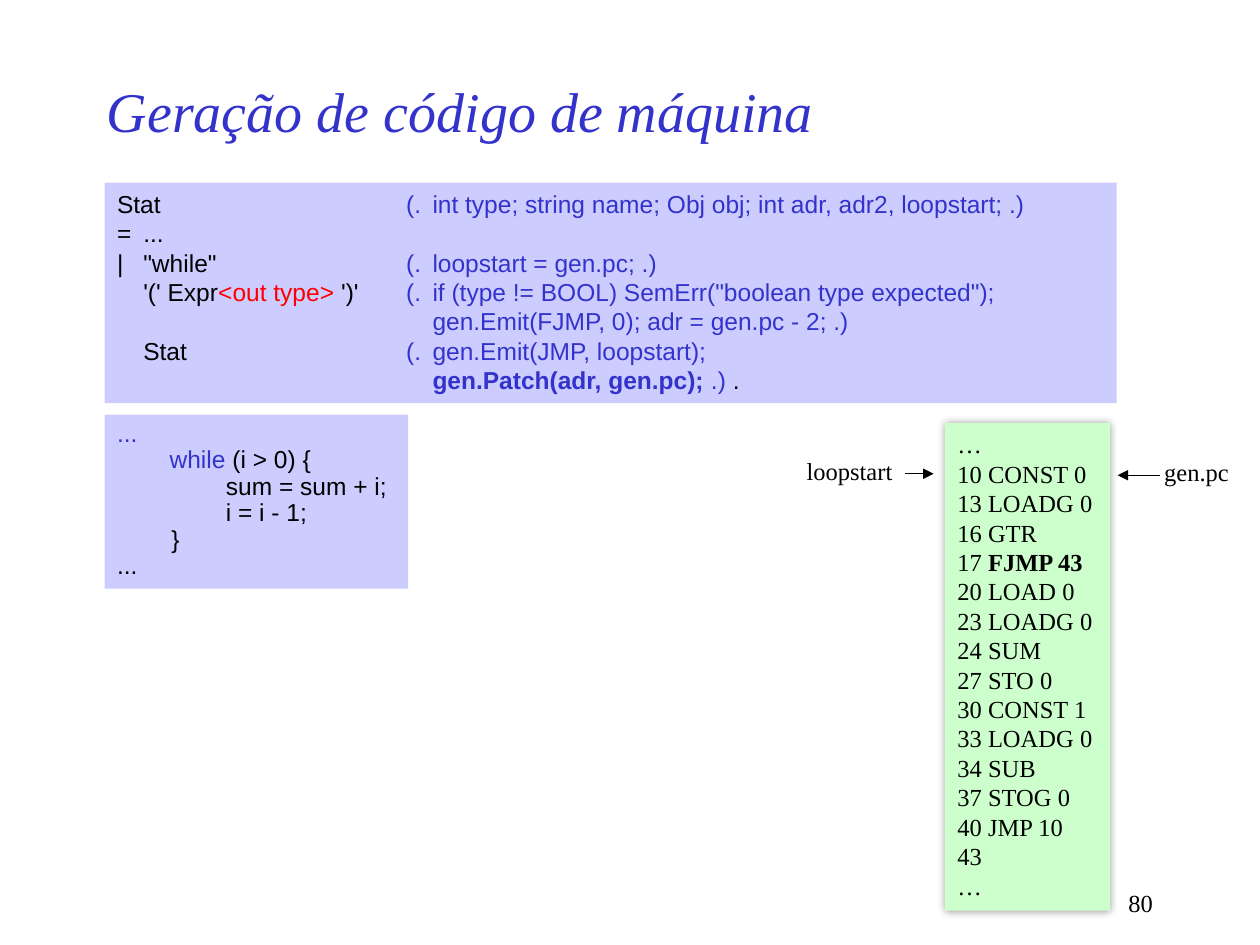
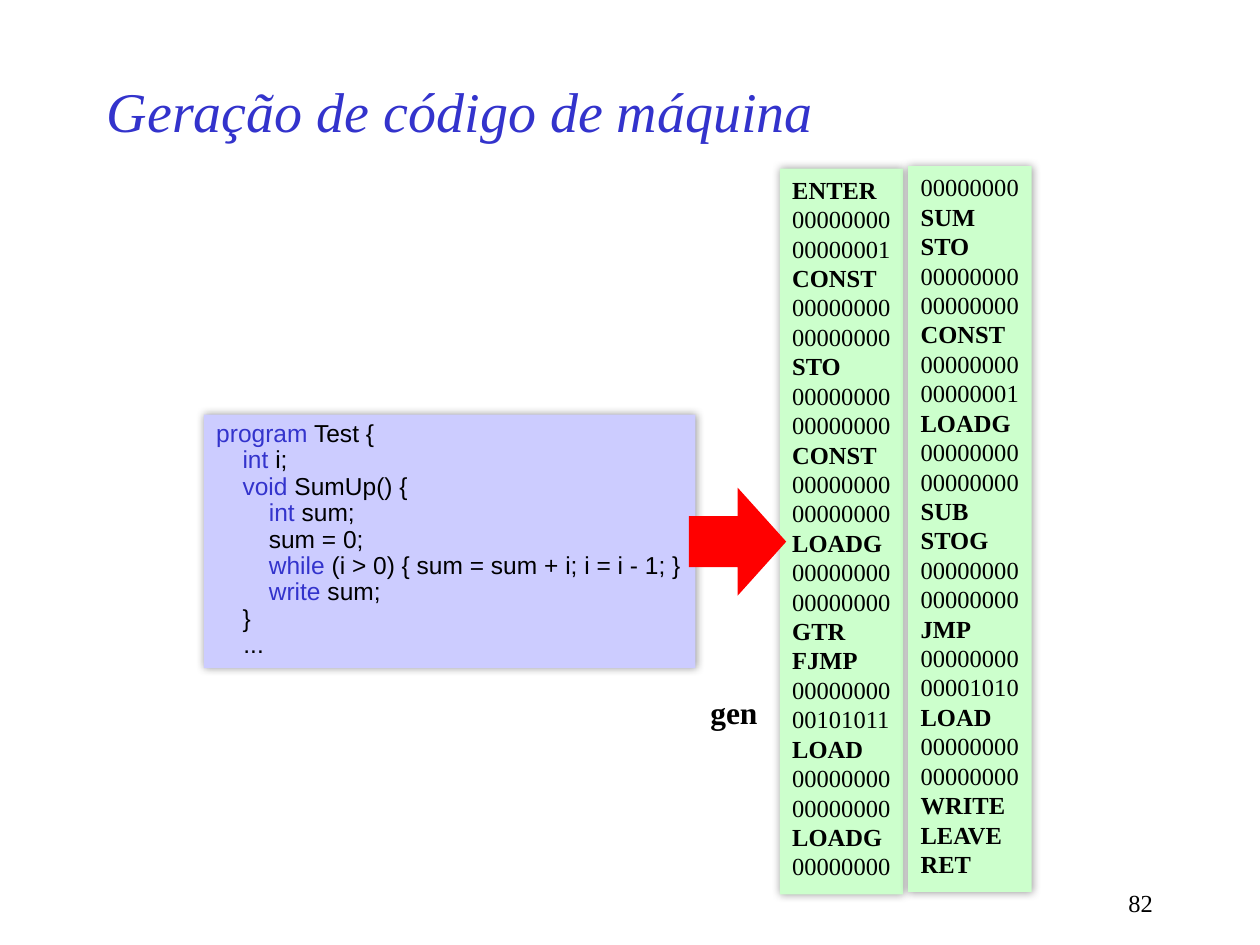
import lxml.etree
import pptx
import pptx.dml.color
import pptx.enum.shapes
import pptx.enum.text
import pptx.oxml
import pptx.oxml.ns
import pptx.util

Cm, Pt = pptx.util.Cm, pptx.util.Pt
qn = pptx.oxml.ns.qn
SHAPE = pptx.enum.shapes.MSO_SHAPE
ALIGN = pptx.enum.text.PP_ALIGN
ANCHOR = pptx.enum.text.MSO_ANCHOR
FIT = pptx.enum.text.MSO_AUTO_SIZE

# Shared look
BLACK, BLUE, RED = "000000", "3333CC", "FF0000"
LILAC, GREEN = "CCCCFF", "CCFFCC"
SERIF, SANS = "Times New Roman", "Arial"
STYLES = {  # run style: colour, bold
    "": (BLACK, False),
    "key": (BLUE, False),
    "call": (BLUE, True),
    "out": (RED, False),
    "op": (BLACK, True),
}
TAB = 0.53  # width of one tab step in cm
RULE_TABS = (1, 2, 11, 12, 13)
CODE_TABS = (1, 2, 3, 4)

# Content: a line is a string or a list of (text, style) runs
TITLE = "Geração de código de máquina"
RULE = [
    [("Stat\t\t", ""), ("(.\tint type; string name; Obj obj; int adr, adr2, loopstart; .)", "key")],
    "=\t...",
    [("|\t\"while\"\t", ""), ("(.\tloopstart = gen.pc; .)", "key")],
    [("\t'(' Expr", ""), ("<out type>", "out"), (" ')'\t", ""),
     ("(.\tif (type != BOOL) SemErr(\"boolean type expected\");", "key")],
    [("\t\t\t\tgen.Emit(FJMP, 0); adr = gen.pc - 2; .)", "key")],
    [("\tStat\t", ""), ("(.\tgen.Emit(JMP, loopstart);", "key")],
    [("\t\t\t\t", ""), ("gen.Patch(adr, gen.pc);", "call"), (" .)", "key"), (" .", "")],
]
LOOP = [
    [("...", "key")],
    [("\t\t", ""), ("while", "key"), (" (i > 0) {", "")],
    "                sum = sum + i;",
    "                i = i - 1;",
    "        }",
    "...",
]
STEPS = [
    "…", "10 CONST 0", "13 LOADG 0", "16 GTR", [("17 ", ""), ("FJMP 43", "op")],
    "20 LOAD 0", "23 LOADG 0", "24 SUM", "27 STO 0", "30 CONST 1", "33 LOADG 0",
    "34 SUB", "37 STOG 0", "40 JMP 10", "43", "…",
]
MARKS = [  # text, text box, arrow start x, arrow end x, arrow y
    ("loopstart", (16.26, 9.19, 1.75, 0.61), 18.24, 18.82, 9.55),
    ("gen.pc", (23.47, 9.22, 1.32, 0.61), 23.39, 22.53, 9.58),
]
TEST = [
    [("program", "key"), (" Test {", "")],
    [("\tint", "key"), (" i;", "")],
    [("\tvoid", "key"), (" SumUp() {", "")],
    [("\t\tint ", "key"), ("sum;", "")],
    "\t\tsum = 0;",
    [("\t\twhile", "key"), (" (i > 0) { sum = sum + i; i = i - 1; }", "")],
    [("\t\twrite", "key"), (" sum;", "")],
    "\t}",
    "    ...",
]
BYTES = [  # left, top, code column
    (15.72, 3.4, """ENTER 00000000 00000001 CONST 00000000 00000000 STO 00000000
        00000000 CONST 00000000 00000000 LOADG 00000000 00000000 GTR FJMP 00000000
        00101011 LOAD 00000000 00000000 LOADG 00000000"""),
    (18.31, 3.35, """00000000 SUM STO 00000000 00000000 CONST 00000000 00000001
        LOADG 00000000 00000000 SUB STOG 00000000 00000000 JMP 00000000 00001010
        LOAD 00000000 00000000 WRITE LEAVE RET"""),
]


def tint(code):
    return pptx.dml.color.RGBColor.from_string(code)


def place(box):
    return [Cm(part) for part in box]


def write(frame, lines, font=SERIF, size=14, tabs=(), space=None, align=ALIGN.LEFT):
    """Fill a text frame with styled lines."""
    for i, line in enumerate(lines):
        para = frame.paragraphs[0] if i == 0 else frame.add_paragraph()
        if tabs:
            stops = lxml.etree.SubElement(para._p.get_or_add_pPr(), qn("a:tabLst"))
            for step in tabs:
                lxml.etree.SubElement(stops, qn("a:tab"), pos=str(Cm(step * TAB)), algn="l")
        para.alignment = align
        if space:
            para.line_spacing = space
        for text, style in [(line, "")] if isinstance(line, str) else line:
            run = para.add_run()
            run.text = text
            run.font.name, run.font.size = font, Pt(size)
            shade, run.font.bold = STYLES[style]
            run.font.color.rgb = tint(shade)


def panel(slide, box, fill, kind=SHAPE.RECTANGLE, glow=False):
    """Add a filled shape without outline, with a soft shadow if asked."""
    shape = slide.shapes.add_shape(kind, *place(box))
    shape.fill.solid()
    shape.fill.fore_color.rgb = tint(fill)
    shape.line.fill.background()
    shape.shadow.inherit = False
    if glow:
        blur = lxml.etree.SubElement(shape._element.spPr.find(qn("a:effectLst")),
                                     qn("a:outerShdw"), blurRad=str(Pt(5)), dist="0")
        shade = lxml.etree.SubElement(blur, qn("a:srgbClr"), val=BLACK)
        lxml.etree.SubElement(shade, qn("a:alpha"), val="40000")
    return shape


def code(slide, box, fill, lines, wrap=False, glow=False, **look):
    """Add a panel that holds code."""
    frame = panel(slide, box, fill, glow=glow).text_frame
    frame.word_wrap = wrap
    frame.vertical_anchor = ANCHOR.TOP
    frame.auto_size = FIT.SHAPE_TO_FIT_TEXT
    write(frame, lines, **look)


def label(slide, box, line, inset=True, wrap=False, **look):
    """Add a one-line text box."""
    frame = slide.shapes.add_textbox(*place(box)).text_frame
    frame.word_wrap = wrap
    if not inset:
        frame.margin_left = frame.margin_right = frame.margin_top = frame.margin_bottom = 0
    write(frame, [line], **look)


def arrow(slide, start, end, y):
    """Add a level line with an arrowhead at its end."""
    line = slide.shapes.add_connector(pptx.enum.shapes.MSO_CONNECTOR.STRAIGHT,
                                      *place((start, y, end, y)))
    line.line.color.rgb = tint(BLACK)
    line.line.width = Pt(0.75)
    lxml.etree.SubElement(line.line._get_or_add_ln(), qn("a:tailEnd"), type="triangle")
    lxml.etree.SubElement(line._element.spPr, qn("a:effectLst"))


def start(deck, page):
    """Add a slide with its title and page number."""
    slide = deck.slides.add_slide(deck.slide_layouts[5])
    title = slide.shapes.title
    title.left, title.top, title.width, title.height = place((1.9, 1.27, 19.05, 1.9))
    title.text_frame.vertical_anchor = ANCHOR.MIDDLE
    write(title.text_frame, [[(TITLE, "key")]], size=32)
    title.text_frame.paragraphs[0].runs[0].font.italic = True
    label(slide, (18.21, 17.78, 5.28, 0.84), page, wrap=True, align=ALIGN.RIGHT)
    return slide


def main():
    deck = pptx.Presentation()
    deck.slide_width, deck.slide_height = Cm(25.4), Cm(19.05)

    # Loop rule and its machine code
    slide = start(deck, "80")
    code(slide, (2.11, 3.68, 20.4, 4.45), LILAC, RULE, wrap=True, font=SANS, tabs=RULE_TABS)
    code(slide, (2.11, 8.36, 6.12, 3.51), LILAC, LOOP, font=SANS, tabs=CODE_TABS, space=0.9)
    code(slide, (19.05, 8.53, 3.33, 9.83), GREEN, STEPS, glow=True)
    for text, box, tail, head, y in MARKS:
        arrow(slide, tail, head, y)
        label(slide, box, text, inset=False)

    # Whole program turned into bytes
    slide = start(deck, "82")
    for left, top, words in BYTES:
        lines = [[(word, "op" if word.isalpha() else "")] for word in words.split()]
        code(slide, (left, top, 2.49, 14.63), GREEN, lines, glow=True)
    code(slide, (4.11, 8.36, 9.91, 5.11), LILAC, TEST, wrap=True, glow=True,
         font=SANS, tabs=CODE_TABS, space=0.9)
    block = panel(slide, (13.89, 9.83, 1.96, 2.18), RED, SHAPE.RIGHT_ARROW)
    block.adjustments[0], block.adjustments[1] = 0.47, 0.5
    label(slide, (14.07, 13.84, 1.47, 1.04), [("gen", "op")], size=18)

    deck.save("out.pptx")


if __name__ == "__main__":
    main()
